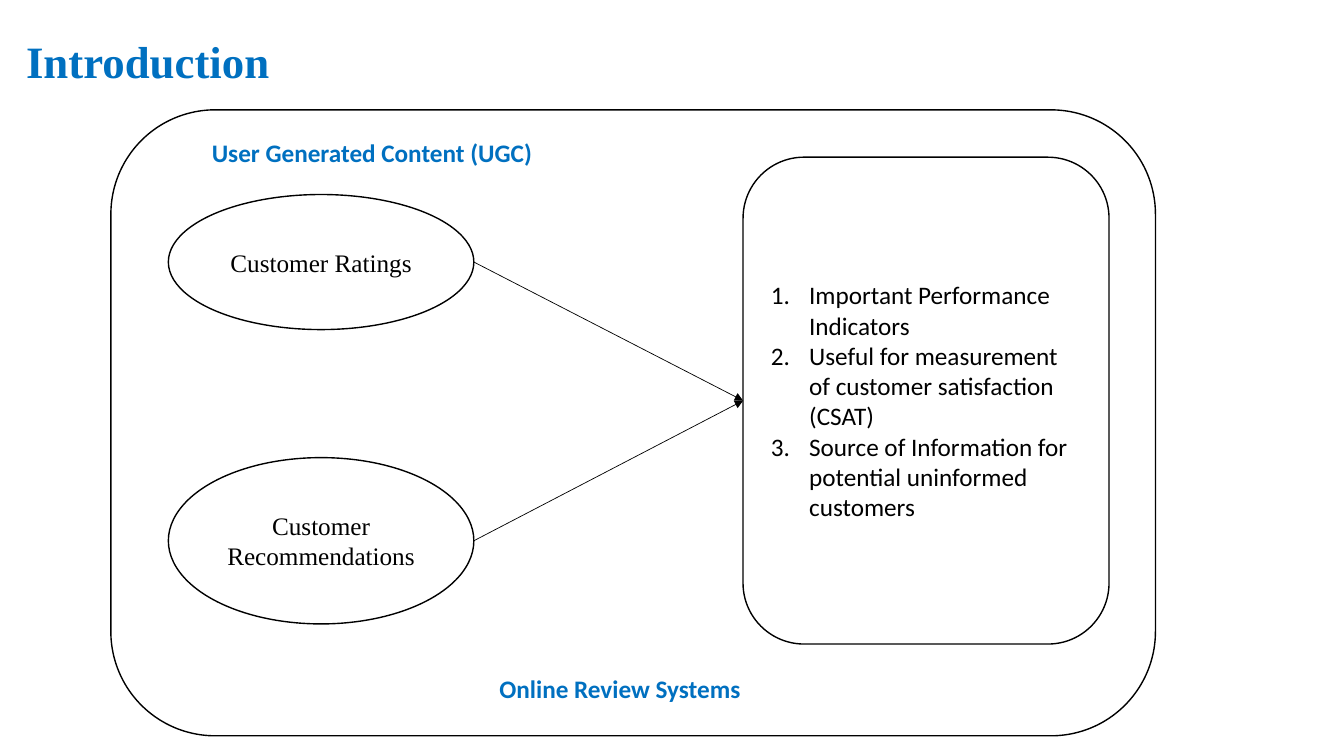
from typing import NamedTuple

from lxml.etree import SubElement
from pptx import Presentation
from pptx.dml.color import RGBColor
from pptx.enum.shapes import MSO_CONNECTOR, MSO_SHAPE
from pptx.enum.text import MSO_ANCHOR, PP_ALIGN
from pptx.oxml.ns import qn
from pptx.util import Inches, Pt

WIDTH, HEIGHT = Inches(13.33), Inches(7.5)
BLACK, BLUE = "000000", "0070C0"
SERIF, SANS = "Times New Roman", "Calibri"


class Area(NamedTuple):
    """Percent shares of the slide's width and height."""
    left: float
    top: float
    width: float
    height: float

    def lengths(self) -> tuple:
        return (across(self.left), down(self.top), across(self.width), down(self.height))


class Style(NamedTuple):
    font: str
    color: str = BLACK
    size: int = 18
    bold: bool = False
    align: PP_ALIGN = PP_ALIGN.CENTER
    anchor: MSO_ANCHOR = MSO_ANCHOR.MIDDLE
    spacing: float = 1.0
    numbered: bool = False


class Item(NamedTuple):
    area: Area
    lines: tuple
    style: Style
    outline: MSO_SHAPE | None = None


def across(share: float) -> int:
    return round(WIDTH * share / 100)


def down(share: float) -> int:
    return round(HEIGHT * share / 100)


def color(value: str) -> RGBColor:
    return RGBColor.from_string(value)


def number(para) -> None:
    properties = para._p.get_or_add_pPr()
    properties.set("marL", str(Inches(0.38)))
    properties.set("indent", str(-Inches(0.38)))
    SubElement(properties, qn("a:buFont"), typeface="+mj-lt")
    SubElement(properties, qn("a:buAutoNum"), type="arabicPeriod")


def write(box, lines: tuple, style: Style) -> None:
    frame = box.text_frame
    frame.word_wrap = True
    frame.vertical_anchor = style.anchor
    frame.text = "\n".join(lines)
    for para in frame.paragraphs:
        para.alignment = style.align
        para.line_spacing = style.spacing
        if style.numbered:
            number(para)
        for span in para.runs:
            span.font.name = style.font
            span.font.size = Pt(style.size)
            span.font.bold = style.bold
            span.font.color.rgb = color(style.color)


def draw(page, item: Item) -> None:
    if item.outline is None:
        box = page.shapes.add_textbox(*item.area.lengths())
    else:
        box = page.shapes.add_shape(item.outline, *item.area.lengths())
        box.shadow.inherit = False
        box.fill.background()
        box.line.color.rgb = color(BLACK)
        box.line.width = Pt(1)
    if item.lines:
        write(box, item.lines, item.style)


def connect(page, source: Area, target: Area) -> None:
    """Arrow from the middle right of source to the middle left of target."""
    arrow = page.shapes.add_connector(
        MSO_CONNECTOR.STRAIGHT,
        across(source.left + source.width), down(source.top + source.height / 2),
        across(target.left), down(target.top + target.height / 2))
    arrow.line.color.rgb = color(BLACK)
    arrow.line.width = Pt(0.5)
    SubElement(arrow.line._get_or_add_ln(), qn("a:tailEnd"), type="triangle")
    SubElement(arrow._element.spPr, qn("a:effectLst"))


# Styles
HEADING = Style(SERIF, BLUE, 32, True, PP_ALIGN.LEFT, spacing=0.9)
CAPTION = Style(SANS, BLUE, bold=True, anchor=MSO_ANCHOR.TOP)
BODY = Style(SERIF)
LISTING = Style(SANS, align=PP_ALIGN.LEFT, numbered=True)

# Areas joined by arrows
RATINGS = Area(12.53, 25.73, 22.73, 17.87)
RECOMMENDATIONS = Area(12.53, 60.53, 22.73, 22)
BENEFITS = Area(55.29, 20.8, 27.23, 64.4)

ITEMS = (
    Item(Area(1.2, 2.53, 75.09, 12), ("Introduction",), HEADING),
    Item(RATINGS, ("Customer Ratings",), BODY, MSO_SHAPE.OVAL),
    Item(RECOMMENDATIONS, ("Customer Recommendations",), BODY, MSO_SHAPE.OVAL),
    Item(BENEFITS, (
        "Important Performance Indicators",
        "Useful for measurement of customer satisfaction (CSAT)",
        "Source of Information for potential uninformed customers",
    ), LISTING, MSO_SHAPE.ROUNDED_RECTANGLE),
    Item(Area(8.25, 14.53, 77.72, 82.8), (), BODY, MSO_SHAPE.ROUNDED_RECTANGLE),
    Item(Area(36.23, 88.4, 19.8, 5.33), ("Online Review Systems",), CAPTION),
    Item(Area(11.7, 17.47, 31.96, 9.47), ("User Generated Content (UGC)",), CAPTION),
)


def main() -> None:
    deck = Presentation()
    deck.slide_width, deck.slide_height = WIDTH, HEIGHT
    page = deck.slides.add_slide(deck.slide_layouts[6])

    # Shapes and text
    for item in ITEMS:
        draw(page, item)

    # Arrows
    for source in (RATINGS, RECOMMENDATIONS):
        connect(page, source, BENEFITS)

    deck.save("out.pptx")


if __name__ == "__main__":
    main()
